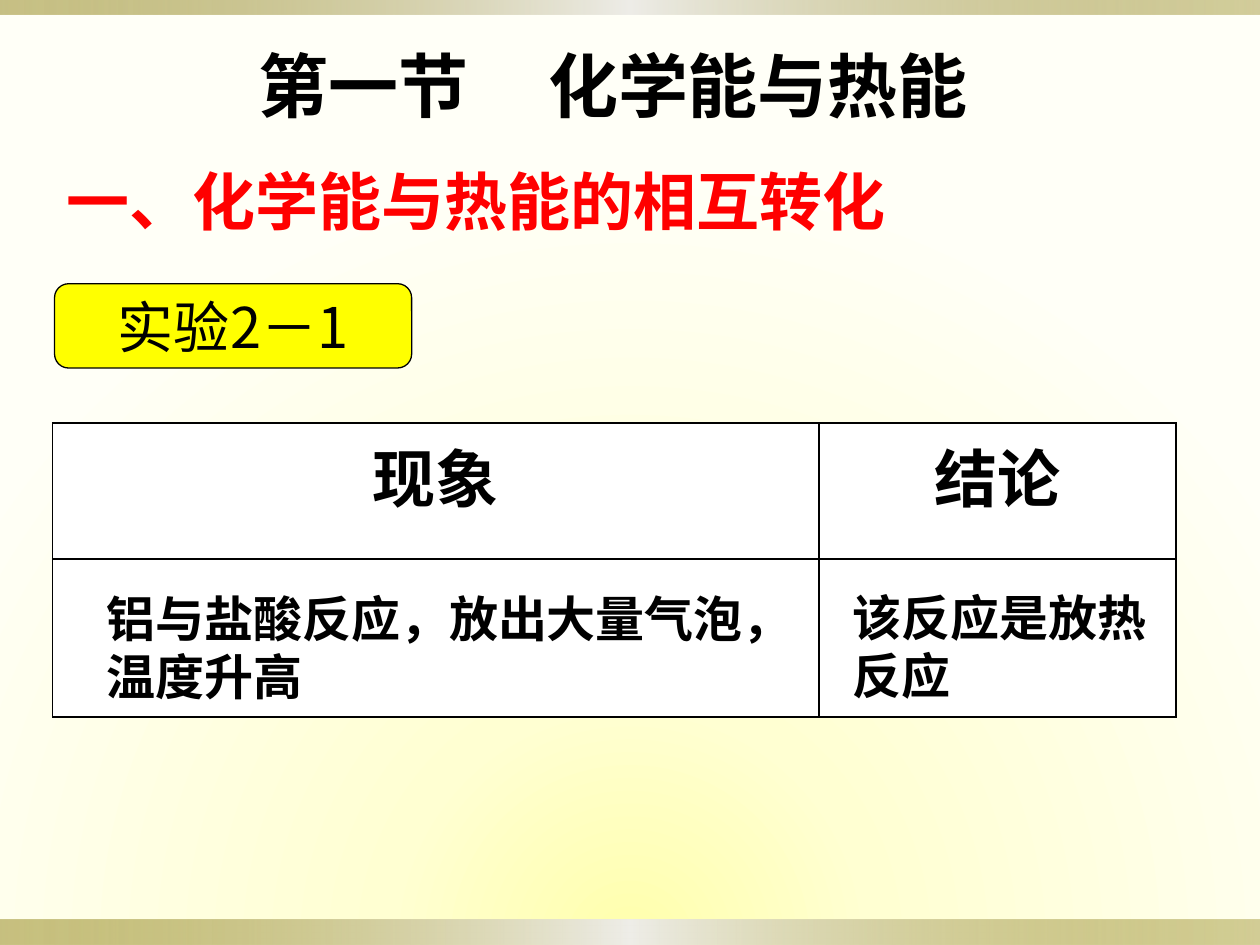
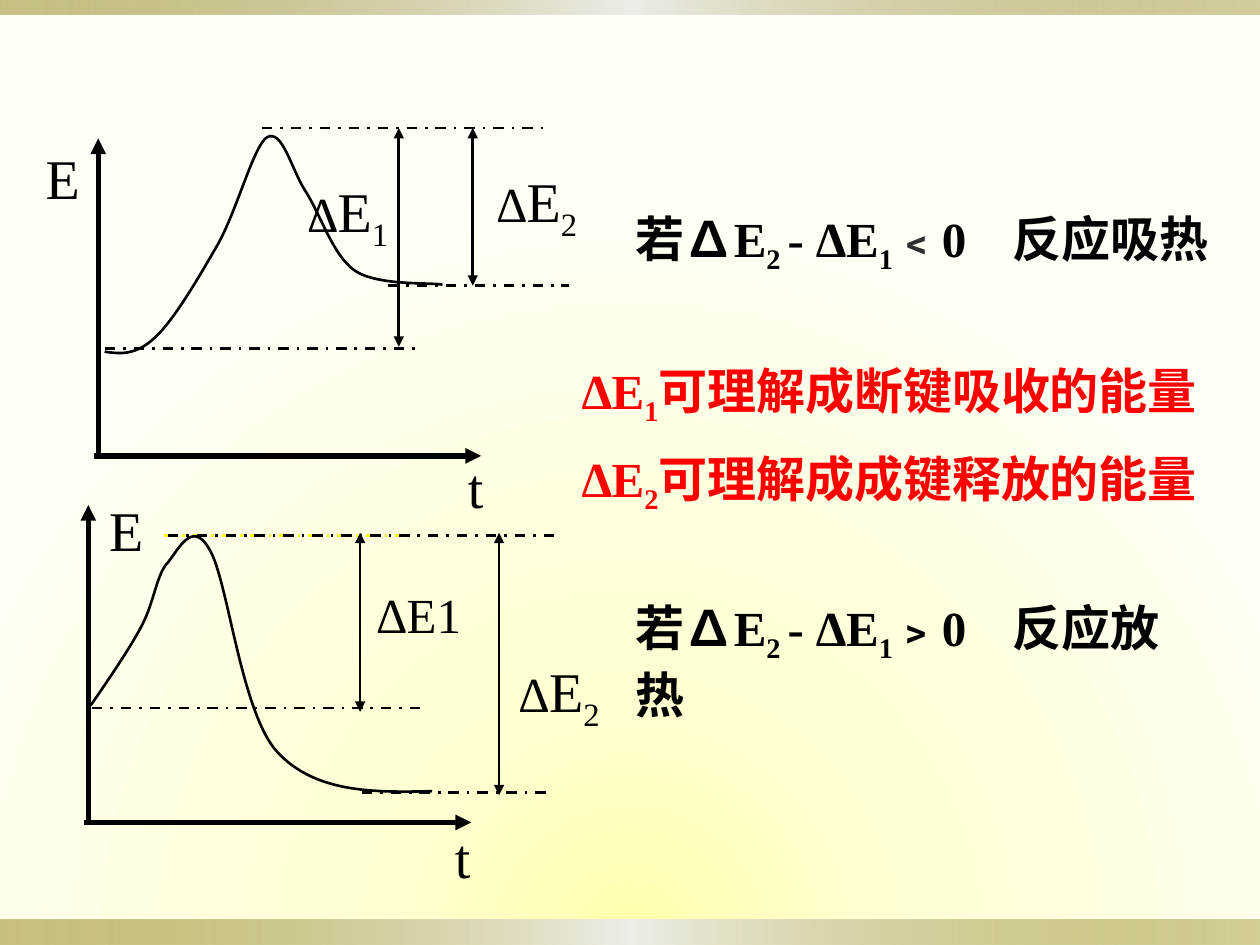
from pptx import Presentation
from pptx.dml.color import RGBColor
from pptx.enum.dml import MSO_LINE
from pptx.enum.shapes import MSO_CONNECTOR, MSO_SHAPE
from pptx.enum.text import MSO_ANCHOR, PP_ALIGN
from pptx.oxml import parse_xml
from pptx.oxml.ns import nsdecls, qn
from pptx.util import Cm, Pt
from lxml.etree import SubElement

COLORS = {
    "black": "000000",
    "red": "FF0000",
    "yellow": "FFFF00",
    "white": "FFFFFF",
    "sign": "2F2F2F",
    "band": "918415",
    "band_mid": "EEEDE8",
    "glow": "FFFFAC",
    "glow_mid": "FFFFD2",
    "paper": "FFFFF7",
}
SERIF, SANS, CJK, TITLE = "Times New Roman", "Arial", "Noto Sans CJK SC", "Calibri"
EAST_ASIAN = {SERIF: CJK}
SLIDE_W, SLIDE_H = 25.4, 19.05


def rgb(name):
    return RGBColor.from_string(COLORS[name])


# Shared look: background and bands

def set_gradient(fill, parent, stops, direction):
    """Stops are (position %, colour name, opacity %)."""
    fill.gradient()
    gs = "".join(
        f'<a:gs pos="{pos * 1000}"><a:srgbClr val="{COLORS[color]}">'
        f'<a:alpha val="{alpha * 1000}"/></a:srgbClr></a:gs>'
        for pos, color, alpha in stops)
    grad = parse_xml(f'<a:gradFill {nsdecls("a")} rotWithShape="1">'
                     f"<a:gsLst>{gs}</a:gsLst>{direction}</a:gradFill>")
    parent.replace(parent.find(qn("a:gradFill")), grad)


def set_background(master):
    fill = master.background.fill
    stops = [(0, "glow", 100), (31, "glow_mid", 100), (100, "paper", 100)]
    set_gradient(fill, master.element.find(".//" + qn("p:bgPr")), stops,
                 '<a:path path="circle"><a:fillToRect l="50000" t="150000" r="50000"/></a:path>')


def add_band(slide, top, height):
    sp = slide.shapes.add_shape(MSO_SHAPE.RECTANGLE, 0, Cm(top), Cm(SLIDE_W), Cm(height))
    sp.shadow.inherit = False
    sp.line.fill.background()
    stops = [(0, "band", 50), (50, "band_mid", 100), (100, "band", 40)]
    set_gradient(sp.fill, sp.element.spPr, stops, '<a:lin ang="0" scaled="1"/>')


def new_slide(prs):
    slide = prs.slides.add_slide(prs.slide_layouts[6])
    add_band(slide, SLIDE_H - 0.51, 0.51)
    add_band(slide, 0, 0.3)
    return slide


# Text

def format_run(r, size, font, color="black", bold=False, sub=False):
    r.font.size = Pt(size)
    r.font.bold = bold
    r.font.color.rgb = rgb(color)
    r.font.name = font
    rPr = r._r.get_or_add_rPr()
    ea = SubElement(rPr, qn("a:ea"))
    ea.set("typeface", EAST_ASIAN.get(font, font))
    rPr.find(qn("a:latin")).addnext(ea)
    if sub:
        rPr.set("baseline", "-25000")


def add_tab_stop(p, position):
    tabs = SubElement(p._p.get_or_add_pPr(), qn("a:tabLst"))
    tab = SubElement(tabs, qn("a:tab"))
    tab.set("pos", str(Cm(position)))
    tab.set("algn", "l")


def add_text(slide, box, lines, align=PP_ALIGN.LEFT, tab=None, **style):
    """Each line is a string or a list of (text, style changes)."""
    tf = slide.shapes.add_textbox(*map(Cm, box)).text_frame
    tf.word_wrap = True
    for i, line in enumerate(lines):
        p = tf.add_paragraph() if i else tf.paragraphs[0]
        p.alignment = align
        if tab:
            add_tab_stop(p, tab)
        for text, changes in [(line, {})] if isinstance(line, str) else line:
            r = p.add_run()
            r.text = text
            format_run(r, **{**style, **changes})


def add_tag(slide, box, text):
    sp = slide.shapes.add_shape(MSO_SHAPE.ROUNDED_RECTANGLE, *map(Cm, box))
    sp.shadow.inherit = False
    sp.fill.solid()
    sp.fill.fore_color.rgb = rgb("yellow")
    sp.line.color.rgb = rgb("black")
    sp.line.width = Pt(0.75)
    tf = sp.text_frame
    tf.text = text
    tf.vertical_anchor = MSO_ANCHOR.MIDDLE
    tf.paragraphs[0].alignment = PP_ALIGN.CENTER
    format_run(tf.paragraphs[0].runs[0], 32, CJK)


# Table

def set_borders(cell):
    tcPr = cell._tc.get_or_add_tcPr()
    for i, side in enumerate(("lnL", "lnR", "lnT", "lnB")):
        tcPr.insert(i, parse_xml(
            f'<a:{side} {nsdecls("a")} w="{Pt(1)}"><a:solidFill>'
            f'<a:srgbClr val="{COLORS["black"]}"/></a:solidFill></a:{side}>'))


def add_result_table(slide, left, top, widths, heights, headings):
    table = slide.shapes.add_table(len(heights), len(widths), Cm(left), Cm(top),
                                   Cm(sum(widths)), Cm(sum(heights))).table
    table.first_row = table.horz_banding = False
    for col, width in zip(table.columns, widths):
        col.width = Cm(width)
    for row, height in zip(table.rows, heights):
        row.height = Cm(height)
    for cell in table.iter_cells():
        cell.fill.solid()
        cell.fill.fore_color.rgb = rgb("white")
        cell.margin_top = Cm(0.45)
        set_borders(cell)
    for cell, heading in zip(table.rows[0].cells, headings):
        cell.text = heading
        p = cell.text_frame.paragraphs[0]
        p.alignment = PP_ALIGN.CENTER
        format_run(p.runs[0], 36, SANS, bold=True)


# Energy diagrams

def add_line(slide, x1, y1, x2, y2, width=1.5, color="black", dash=False, arrows=()):
    line = slide.shapes.add_connector(MSO_CONNECTOR.STRAIGHT, *map(Cm, (x1, y1, x2, y2)))
    line.line.width = Pt(width)
    line.line.color.rgb = rgb(color)
    if dash:
        line.line.dash_style = MSO_LINE.DASH_DOT
    spPr = line._element.spPr
    for end in arrows:
        SubElement(spPr.find(qn("a:ln")), qn(f"a:{end}")).set("type", "triangle")
    SubElement(spPr, qn("a:effectLst"))


def add_curve(slide, start, points):
    """Every three points are two Bezier controls and an end."""
    builder = slide.shapes.build_freeform(Cm(start[0]), Cm(start[1]))
    builder.add_line_segments([(Cm(x), Cm(y)) for x, y in points], close=False)
    sp = builder.convert_to_shape()
    steps = sp._element.findall(".//" + qn("a:lnTo"))
    outline = steps[0].getparent()
    for i in range(0, len(steps), 3):
        bezier = SubElement(outline, qn("a:cubicBezTo"))
        for step in steps[i:i + 3]:
            bezier.append(step[0])
            outline.remove(step)
    sp.shadow.inherit = False
    sp.fill.background()
    sp.line.color.rgb = rgb("black")
    sp.line.width = Pt(1.5)


def add_axes(slide, x, y):
    for ends in ((x, y, x + 7.8, y), (x + 0.08, y, x + 0.08, y - 6.4)):
        add_line(slide, *ends, width=3, arrows=["tailEnd"])


def add_energy_diagram(slide, origin, curve, levels, gaps, labels):
    """Levels are (x1, x2, y), gaps (x, y1, y2), labels (x, y, width, runs)."""
    add_axes(slide, *origin)
    add_curve(slide, *curve)
    for x1, x2, y in levels:
        add_line(slide, x1, y, x2, y, dash=True)
    for x, y1, y2 in gaps:
        add_line(slide, x, y1, x, y2, arrows=["headEnd", "tailEnd"])
    for x, y, width, runs in labels:
        add_text(slide, (x, y, width, 1.6), [runs], PP_ALIGN.CENTER, size=32, font=SERIF)


def delta_label(n):
    return [("∆", {"size": 28}), ("E", {}), (n, {"sub": True})]


def add_criterion(slide, top, width, sign, sign_color, outcome):
    runs = [("若∆E", {}), ("2 ", {"sub": True}), ("- ∆E", {}), ("1", {"sub": True}),
            (sign, {"color": sign_color}), ("0\t" + outcome, {})]
    add_text(slide, (12.57, top, width, 1.45), [runs], tab=7.6,
             size=28, font=SERIF, bold=True)


# Slides

def build_experiment(prs):
    slide = new_slide(prs)
    add_text(slide, (1.09, 3.15, 20.04, 2.18), ["一、化学能与热能的相互转化"],
             size=36, font=CJK, color="red", bold=True)
    add_tag(slide, (1.1, 5.72, 7.2, 1.7), "实验2－1")
    add_result_table(slide, 1.06, 8.53, (15.45, 7.2), (2.74, 3.18), ("现象", "结论"))
    for box, lines in (
            ((1.9, 11.73, 14.53, 2.64), ["铝与盐酸反应，放出大量气泡，", "温度升高"]),
            ((16.94, 11.71, 6.53, 2.64), ["该反应是放热", "反应"])):
        add_text(slide, box, lines, size=28, font=SANS, bold=True)
    add_text(slide, (4.96, 0.74, 16.28, 1.96), ["第一节\t化学能与热能"], tab=5.84,
             size=40, font=TITLE, bold=True)


def build_energy(prs):
    slide = new_slide(prs)

    # Heat absorbed
    add_energy_diagram(
        slide, (1.9, 9.19),
        ((2.11, 7.09), [(2.44, 7.14), (2.74, 7.16), (3.12, 6.81),
                        (3.51, 6.45), (4.01, 5.59), (4.39, 4.93),
                        (4.78, 4.24), (5.11, 2.95), (5.38, 2.77),
                        (5.69, 2.59), (5.87, 3.4), (6.15, 3.84),
                        (6.45, 4.29), (6.71, 5.16), (7.16, 5.46),
                        (7.62, 5.77), (8.69, 5.69), (8.92, 5.74)]),
        [(5.28, 11.1, 2.58), (2.11, 8.43, 7.03), (7.82, 11.48, 5.76)],
        [(8.04, 2.58, 6.99), (9.53, 2.58, 5.76)],
        [(0.63, 2.77, 1.27, "E"), (9.09, 8.99, 1, "t"),
         (5.72, 3.43, 2.59, delta_label("1")), (9.53, 3.23, 2.59, delta_label("2"))])
    add_criterion(slide, 4.07, 12.09, "﹤", "sign", "反应吸热")

    # Heat released
    add_line(slide, 3.3, 10.79, 8.31, 10.79, color="yellow", dash=True)
    add_energy_diagram(
        slide, (1.7, 16.58),
        ((1.83, 14.22), [(2.21, 13.67), (2.59, 13.11), (2.84, 12.65),
                         (3.1, 12.17), (3.15, 11.63), (3.35, 11.38),
                         (3.58, 11.13), (3.86, 10.44), (4.22, 11.07),
                         (4.6, 11.68), (4.85, 14.35), (5.59, 15.16),
                         (6.35, 15.98), (7.52, 15.98), (8.71, 15.95)]),
        [(3.38, 11.18, 10.79), (1.85, 8.46, 14.27), (7.29, 11.05, 15.98)],
        [(7.26, 10.74, 14.35), (10.06, 10.74, 16.03)],
        [(1.91, 9.87, 1.27, "E"), (8.83, 16.46, 1, "t"),
         (7.15, 11.66, 2.59, [("∆E1", {"size": 28})]),
         (9.98, 13.11, 2.59, delta_label("2"))])
    add_criterion(slide, 11.92, 11.76, "﹥", "black", "反应放热")

    # Meaning of the two energies
    for top, n, meaning in ((7.14, "1", "可理解成断键吸收的能量"),
                            (8.92, "2", "可理解成成键释放的能量")):
        add_text(slide, (11.48, top, 13.21, 1.45),
                 [[("∆E", {}), (n, {"sub": True}), (meaning, {})]],
                 size=28, font=SERIF, color="red", bold=True)


def main():
    prs = Presentation()
    prs.slide_width, prs.slide_height = Cm(SLIDE_W), Cm(SLIDE_H)
    set_background(prs.slide_master)
    build_experiment(prs)
    build_energy(prs)
    prs.save("out.pptx")


if __name__ == "__main__":
    main()
